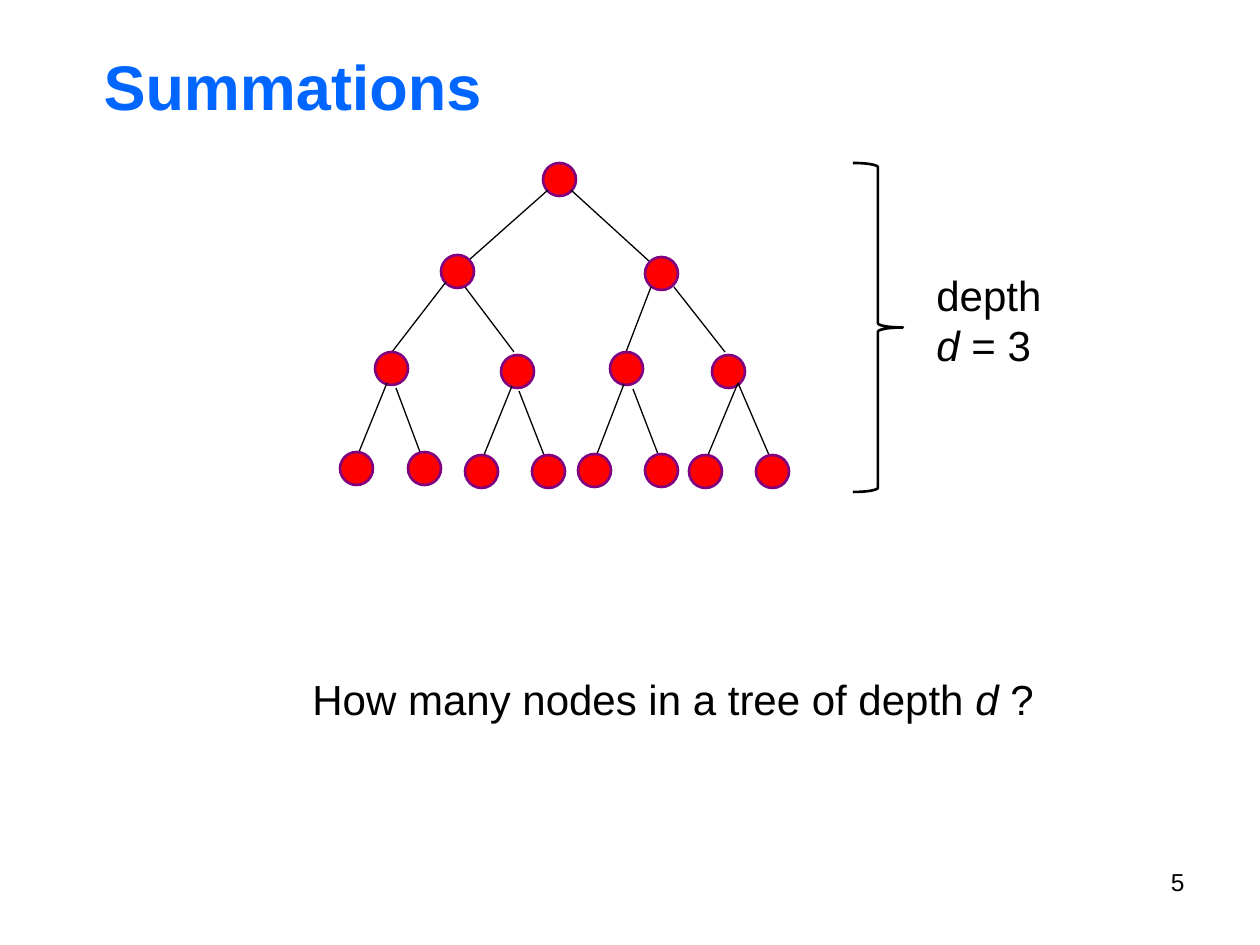
from dataclasses import dataclass

from lxml import etree
from pptx import Presentation
from pptx.dml.color import RGBColor
from pptx.enum.shapes import MSO_CONNECTOR, MSO_SHAPE
from pptx.enum.text import MSO_ANCHOR, MSO_AUTO_SIZE, PP_ALIGN
from pptx.oxml.ns import qn
from pptx.util import Emu, Pt

LINE = MSO_CONNECTOR.STRAIGHT
OVAL, BRACE = MSO_SHAPE.OVAL, MSO_SHAPE.RIGHT_BRACE
LEFT, RIGHT = PP_ALIGN.LEFT, PP_ALIGN.RIGHT
MIDDLE = MSO_ANCHOR.MIDDLE
FIXED, GROW = MSO_AUTO_SIZE.NONE, MSO_AUTO_SIZE.SHAPE_TO_FIT_TEXT
TITLE_ONLY = 5
SCALE = 914400 / 126
NODE = 33


@dataclass(frozen=True)
class Theme:
    font: str = "Arial"
    ink: RGBColor = RGBColor(0, 0, 0)
    head: RGBColor = RGBColor(0, 0x66, 0xFF)
    node: RGBColor = RGBColor(0xFF, 0, 0)
    rim: RGBColor = RGBColor(0x80, 0, 0x80)
    big: int = 36
    body: int = 24
    small: int = 14
    thin: float = 0.75
    bold: float = 1.5


def px(*vals):
    return [Emu(round(v * SCALE)) for v in vals]


class Deck:
    def __init__(self, theme, wide, high):
        self.theme = theme
        self.prs = Presentation()
        self.prs.slide_width, self.prs.slide_height = px(wide, high)
        self.slide = self.prs.slides.add_slide(
            self.prs.slide_layouts[TITLE_ONLY])

    def run(self, para, text, **style):
        run = para.add_run()
        run.text = text
        look = {"name": self.theme.font, "size": Pt(self.theme.body)} | style
        color = look.pop("color", self.theme.ink)
        for key, val in look.items():
            setattr(run.font, key, val)
        run.font.color.rgb = color

    def title(self, text, *box):
        head = self.slide.shapes.title
        keys = ("left", "top", "width", "height")
        for key, val in zip(keys, px(*box)):
            setattr(head, key, val)
        frame = head.text_frame
        frame.auto_size, frame.vertical_anchor = FIXED, MIDDLE
        para = frame.paragraphs[0]
        para.alignment = LEFT
        self.run(para, text, size=Pt(self.theme.big), bold=True,
                 color=self.theme.head)

    def text(self, parts, *box, wrap=False, align=LEFT, **style):
        """Add (text, italic) parts; None stands for a line break."""
        frame = self.slide.shapes.add_textbox(*px(*box)).text_frame
        frame.word_wrap = wrap
        frame.auto_size = FIXED if wrap else GROW
        para = frame.paragraphs[0]
        para.alignment = align
        for part in parts:
            if part is None:
                para.add_line_break()
            else:
                self.run(para, part[0], italic=part[1], **style)

    def shape(self, kind, *box, line, fill=None):
        item = self.slide.shapes.add_shape(kind, *px(*box))
        item.shadow.inherit = False
        if fill is None:
            item.fill.background()
        else:
            item.fill.solid()
            item.fill.fore_color.rgb = fill
        item.line.color.rgb = line
        item.line.width = Pt(self.theme.bold)

    def node(self, x, y):
        self.shape(OVAL, x, y, NODE, NODE,
                   line=self.theme.rim, fill=self.theme.node)

    def edge(self, *ends):
        item = self.slide.shapes.add_connector(LINE, *px(*ends))
        item.line.color.rgb = self.theme.ink
        item.line.width = Pt(self.theme.thin)
        etree.SubElement(item._element.spPr, qn("a:effectLst"))

    def save(self):
        self.prs.save("out.pptx")


ROOT = (543, 163)
# Each child: its left and top, then its edge from child to parent.
TREE = [
    ((441, 255), (469, 260, 548, 190)),
    ((645, 257), (650, 262, 571, 190)),
    ((375, 352), (392, 352, 446, 282)),
    ((501, 355), (514, 352, 465, 287)),
    ((610, 352), (626, 352, 651, 287)),
    ((712, 355), (725, 352, 674, 287)),
    ((340, 452), (359, 452, 387, 383)),
    ((408, 452), (420, 452, 396, 388)),
    ((465, 455), (484, 455, 512, 386)),
    ((532, 455), (544, 455, 519, 391)),
    ((578, 454), (597, 454, 624, 384)),
    ((645, 454), (658, 454, 633, 389)),
    ((689, 455), (708, 455, 738, 383)),
    ((756, 455), (769, 455, 738, 383)),
]


def main():
    theme = Theme()
    deck = Deck(theme, 1260, 945)
    deck.text([("5", False)], 903, 861, 294, 66, wrap=True, align=RIGHT,
              size=Pt(theme.small))
    deck.title("Summations", 91, 42, 1071, 86)
    deck.node(*ROOT)
    for spot, ends in TREE:
        deck.edge(*ends)
        deck.node(*spot)
    deck.shape(BRACE, 853, 163, 50, 329, line=theme.ink)
    deck.text([("depth ", False), None, ("d", True), (" = 3", False)],
              924, 263, 144, 115)
    deck.text([("How many nodes in a tree of depth ", False),
               ("d ", True), ("?", False)], 300, 667, 766, 63)
    deck.save()


if __name__ == "__main__":
    main()
